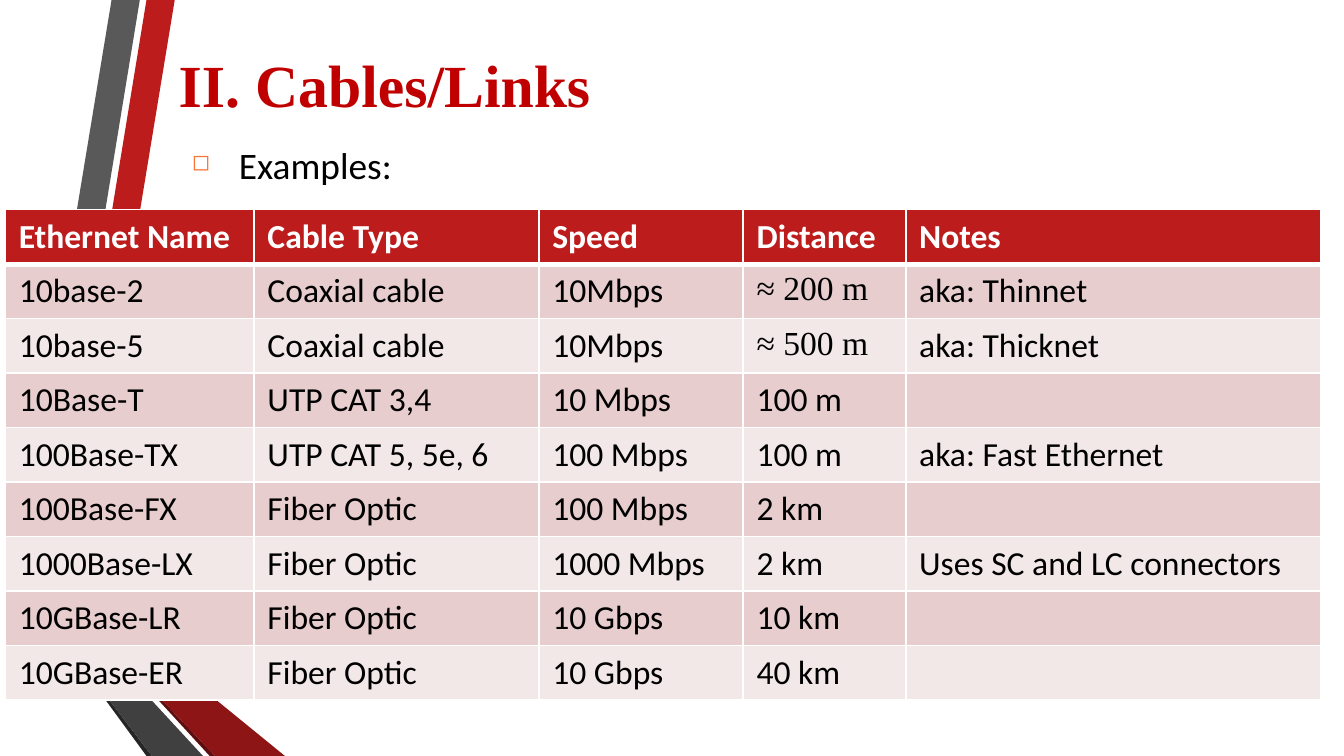
from lxml import etree
from pptx import Presentation
from pptx.dml.color import RGBColor
from pptx.enum.text import MSO_ANCHOR
from pptx.oxml import parse_xml
from pptx.oxml.ns import nsdecls
from pptx.util import Inches, Pt

MIDDLE = MSO_ANCHOR.MIDDLE
RED = RGBColor(0xBC, 0x1C, 0x1C)
TITLE = RGBColor(0xC0, 0x00, 0x00)
ROSE = RGBColor(0xE7, 0xCD, 0xCD)
PALE = RGBColor(0xF3, 0xE8, 0xE8)
WHITE = RGBColor(0xFF, 0xFF, 0xFF)
BLACK = RGBColor(0x00, 0x00, 0x00)
GREY = RGBColor(0x59, 0x59, 0x59)
DARK = RGBColor(0x40, 0x40, 0x40)
COAL = RGBColor(0x26, 0x26, 0x26)
WINE = RGBColor(0x8D, 0x15, 0x15)
DEEP = RGBColor(0x5E, 0x0E, 0x0E)
SANS, SERIF = "Calibri", "Times New Roman"

W = Inches(10)
H = W * 9 // 16
U = W // 100  # one grid unit, both across and down
END = H / U


def write(frame, text, size=18, font=SANS, color=BLACK, bold=False):
    para = frame.paragraphs[0]
    run = para.add_run()
    run.text = text
    run.font.size = Pt(size)
    run.font.name = font
    run.font.color.rgb = color
    run.font.bold = bold
    return para


def edge(cell, **widths):
    """Draw white cell borders; widths in points, keyed L, R, T, B."""
    props = cell._tc.get_or_add_tcPr()
    for side, width in widths.items():
        props.append(parse_xml(
            f'<a:ln{side} {nsdecls("a")} w="{Pt(width)}"><a:solidFill>'
            f'<a:srgbClr val="{WHITE}"/></a:solidFill></a:ln{side}>'))


prs = Presentation()
prs.slide_width, prs.slide_height = W, H
slide = prs.slides.add_slide(prs.slide_layouts[6])
shapes = slide.shapes

# Folded ribbons on the left
RIBBONS = [
    (RED, [(3.8, 43.4), (5.8, 43.7), (13, 0), (10.9, 0)]),
    (GREY, [(10.4, 0), (8.3, 0), (1.2, 43), (3.3, 43.3)]),
    (COAL, [(1.2, 43), (10.9, END), (11.3, END)]),
    (DEEP, [(3.8, 43.4), (15.6, END), (16, END)]),
    (WINE, [(3.8, 43.4), (16, END), (21.2, END), (5.8, 43.7)]),
    (DARK, [(15.1, END), (3.6, 43.8), (3.2, 43.3), (1.2, 43), (11.3, END)]),
]
for color, points in RIBBONS:
    dots = [(round(x * U), round(y * U)) for x, y in points]
    path = shapes.build_freeform(*dots[0])
    path.add_line_segments(dots[1:], close=True)
    band = path.convert_to_shape()
    band.shadow.inherit = False
    band.fill.solid()
    band.fill.fore_color.rgb = color
    band.line.fill.background()

# Title
left = round(13.3 * U)
frame = shapes.add_textbox(left, round(3.1 * U), 75 * U, round(6.2 * U)).text_frame
frame.word_wrap = True
frame.vertical_anchor = MIDDLE
frame.margin_left = frame.margin_right = frame.margin_top = frame.margin_bottom = 0
write(frame, "II. Cables/Links", size=32, font=SERIF, color=TITLE, bold=True)

# Cable table
ROWS = [
    ("Ethernet Name", "Cable Type", "Speed", "Distance", "Notes"),
    ("10base-2", "Coaxial cable", "10Mbps", "≈ 200 m", "aka: Thinnet"),
    ("10base-5", "Coaxial cable", "10Mbps", "≈ 500 m", "aka: Thicknet"),
    ("10Base-T", "UTP CAT 3,4", "10 Mbps", "100 m", ""),
    ("100Base-TX", "UTP CAT 5, 5e, 6", "100 Mbps", "100 m", "aka: Fast Ethernet"),
    ("100Base-FX", "Fiber Optic", "100 Mbps", "2 km", ""),
    ("1000Base-LX", "Fiber Optic", "1000 Mbps", "2 km", "Uses SC and LC connectors"),
    ("10GBase-LR", "Fiber Optic", "10 Gbps", "10 km", ""),
    ("10GBase-ER", "Fiber Optic", "10 Gbps", "40 km", ""),
]
COLS = (18.5, 21.2, 15.2, 12.1, 30.9)
table = shapes.add_table(len(ROWS), len(COLS), round(0.4 * U), round(15.6 * U),
                         round(sum(COLS) * U), round(36.5 * U)).table
for col, width in zip(table.columns, COLS):
    col.width = round(width * U)
for r, row in enumerate(ROWS):
    head = r == 0
    for c, text in enumerate(row):
        cell = table.cell(r, c)
        edge(cell, L=1, R=1, T=3 if r == 1 else 1, B=3 if head else 1)
        cell.fill.solid()
        cell.fill.fore_color.rgb = RED if head else ROSE if r % 2 else PALE
        if text:
            write(cell.text_frame, text, bold=head,
                  font=SERIF if "≈" in text else SANS,
                  color=WHITE if head else BLACK)

# Bulleted lead-in
frame = shapes.add_textbox(left, round(10.7 * U), round(98.3 * U), round(3.5 * U)).text_frame
frame.word_wrap = True
para = write(frame, "Examples:", size=20)
para.line_spacing = 0.8
para.space_before = Pt(7)
props = para._p.get_or_add_pPr()
props.set("marL", str(round(3.5 * U)))
props.set("indent", str(round(-3.5 * U)))
tint = etree.SubElement(props, props.tag.replace("pPr", "buClr"))
etree.SubElement(tint, props.tag.replace("pPr", "srgbClr"), val="F67534")
etree.SubElement(props, props.tag.replace("pPr", "buSzPct"), val="60000")
etree.SubElement(props, props.tag.replace("pPr", "buChar"), char="◻")

prs.save("out.pptx")
